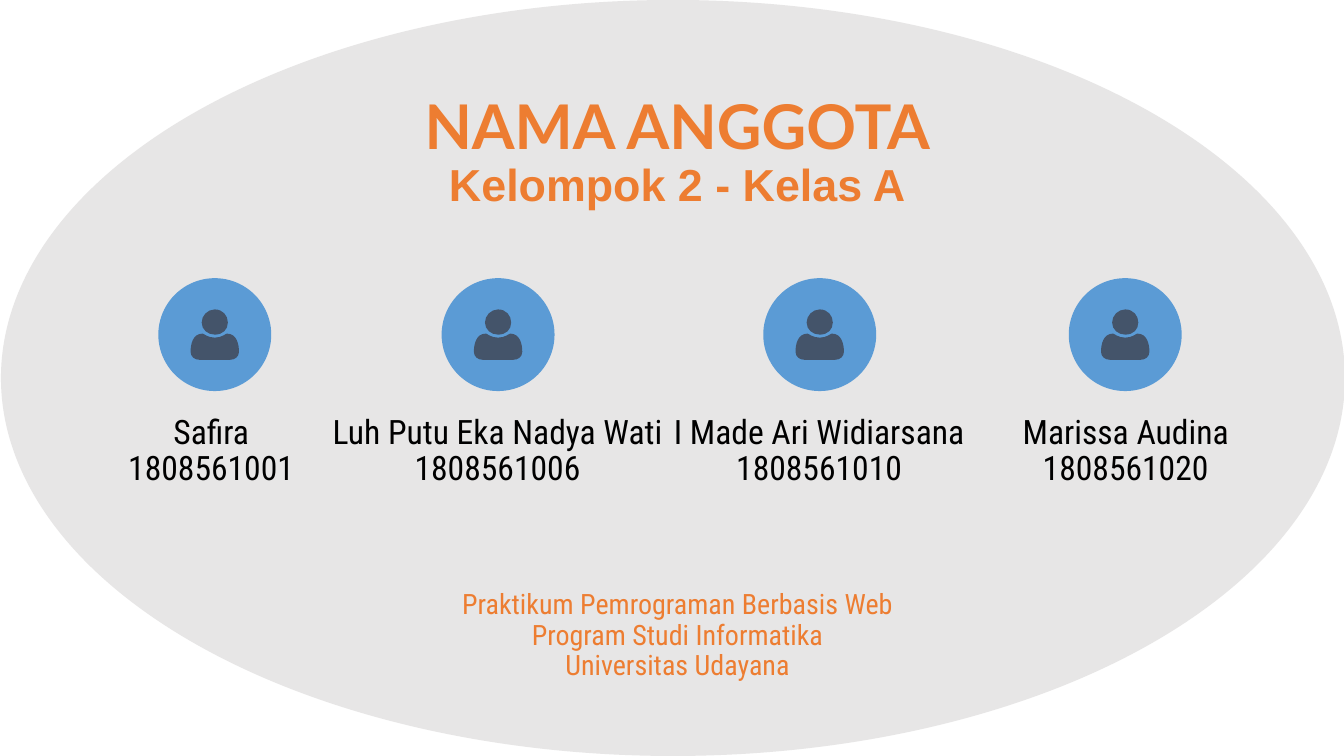
import dataclasses

import lxml.etree
import pptx
import pptx.dml.color
import pptx.enum.shapes
import pptx.enum.text
import pptx.oxml.ns
import pptx.util

PX = 9144
BODY_CURVES = [
    (39, 50), (9, 50), (9, 50), (9, 50), (4, 50), (0, 47), (0, 42),
    (0, 35), (2, 24), (12, 24), (13, 24), (17, 28), (24, 28),
    (31, 28), (35, 24), (36, 24), (46, 24), (48, 35), (48, 42),
    (48, 47), (44, 50), (39, 50),
]
HEAD_CURVES = [
    (24, 25), (17, 25), (11, 20), (11, 13), (11, 6), (17, 0), (24, 0),
    (32, 0), (37, 6), (37, 13), (37, 20), (32, 25), (24, 25),
]
MEMBERS = [
    ("Safira\v1808561001", 157, 28),
    ("Luh Putu Eka Nadya Wati\v1808561006", 438, 312),
    ("I Made Ari Widiarsana\v1808561010", 757, 631),
    ("Marissa Audina\v1808561020", 1060, 935),
]
COURSE = [
    "Praktikum Pemrograman Berbasis Web",
    "Program Studi Informatika",
    "Universitas Udayana",
]


@dataclasses.dataclass(frozen=True)
class Theme:
    """Colours, fonts and type sizes of the slide."""

    backdrop: str = "E7E6E6"
    accent: str = "ED7D31"
    badge: str = "5B9BD5"
    person: str = "44546A"
    ink: str = "000000"
    title_font: str = "Lato"
    subtitle_font: str = "Arial"
    body_font: str = "Roboto Condensed"
    title_size: int = 44
    subtitle_size: int = 32
    member_size: int = 24
    course_size: int = 20


THEME = Theme()


def paint(shape, color):
    """Give a shape a flat fill without line or shadow."""
    shape.fill.solid()
    shape.fill.fore_color.rgb = pptx.dml.color.RGBColor.from_string(color)
    shape.line.fill.background()
    shape.shadow.inherit = False


def add_ellipse(shapes, box, color):
    """Add a flat ellipse that fills the box."""
    kind = pptx.enum.shapes.MSO_SHAPE.OVAL
    ellipse = shapes.add_shape(kind, *(length * PX for length in box))
    paint(ellipse, color)


def add_frame(slide, box, inset, anchor=pptx.enum.text.MSO_ANCHOR.TOP):
    """Add a wrapping text box and return its text frame."""
    frame = slide.shapes.add_textbox(*(length * PX for length in box)).text_frame
    frame.word_wrap = True
    frame.vertical_anchor = anchor
    frame.margin_left = frame.margin_right = inset * PX
    frame.margin_top = frame.margin_bottom = inset * PX
    return frame


def style(font, name, size, color, bold=False):
    """Set the name, size, colour and weight of a font."""
    font.name = name
    font.size = pptx.util.Pt(size)
    font.bold = bold
    font.color.rgb = pptx.dml.color.RGBColor.from_string(color)


def center(paragraph):
    """Centre a paragraph with tight line spacing."""
    paragraph.alignment = pptx.enum.text.PP_ALIGN.CENTER
    paragraph.line_spacing = 0.9


def bend(shape):
    """Turn every three straight segments of a freeform into one cubic curve."""
    segments = shape.element.xpath(".//a:lnTo")
    for first, second, third in zip(segments[::3], segments[1::3], segments[2::3]):
        curve = lxml.etree.Element(pptx.oxml.ns.qn("a:cubicBezTo"))
        first.addprevious(curve)
        for segment in (first, second, third):
            curve.append(segment[0])
            segment.getparent().remove(segment)


def add_person(shapes, left, top):
    """Add a person symbol made of a body and a head."""
    body, head = (
        [((left + x) * PX, (top + y) * PX) for x, y in curves]
        for curves in (BODY_CURVES, HEAD_CURVES)
    )
    builder = shapes.build_freeform(*body[0])
    builder.add_line_segments(body[1:], close=True)
    builder.move_to(*head[0])
    builder.add_line_segments(head[1:], close=True)
    person = builder.convert_to_shape()
    bend(person)
    paint(person, THEME.person)


def add_badge(slide, box):
    """Add a round badge with a person symbol in its middle."""
    left, top, width, height = box
    group = slide.shapes.add_group_shape()
    add_ellipse(group.shapes, box, THEME.badge)
    add_person(group.shapes, left + (width - 48) // 2, top + (height - 50) // 2)


def add_heading(slide, box):
    """Add the title and subtitle."""
    paragraph = add_frame(slide, box, 13).paragraphs[0]
    center(paragraph)
    title = paragraph.add_run()
    title.text = "NAMA ANGGOTA"
    style(title.font, THEME.title_font, THEME.title_size, THEME.accent, True)
    paragraph.add_line_break()
    subtitle = paragraph.add_run()
    subtitle.text = "Kelompok 2 - Kelas A"
    style(subtitle.font, THEME.subtitle_font, THEME.subtitle_size, THEME.accent, True)


def add_members(slide, box):
    """Add a badge, name and student number for each member."""
    left, top, width, height = box
    for text, badge_left, text_left in MEMBERS:
        add_badge(slide, (left + badge_left, top, 112, 112))
        text_box = (left + text_left, top + height - 84, 363, 84)
        frame = add_frame(slide, text_box, 10, pptx.enum.text.MSO_ANCHOR.BOTTOM)
        paragraph = frame.paragraphs[0]
        paragraph.text = text
        center(paragraph)
        style(paragraph.font, THEME.body_font, THEME.member_size, THEME.ink)


def add_course(slide, box):
    """Add the course, programme and university."""
    frame = add_frame(slide, box, 13)
    frame.text = "\n".join(COURSE)
    for paragraph in frame.paragraphs:
        center(paragraph)
        style(paragraph.font, THEME.body_font, THEME.course_size, THEME.accent)


def main():
    """Build and save the presentation."""
    presentation = pptx.Presentation()
    presentation.slide_width = 1333 * PX
    presentation.slide_height = 750 * PX
    slide = presentation.slides.add_slide(presentation.slide_layouts[6])
    add_ellipse(slide.shapes, (1, 0, 1333, 750), THEME.backdrop)
    add_heading(slide, (163, 83, 1018, 119))
    add_members(slide, (0, 276, 1333, 218))
    add_course(slide, (165, 573, 1014, 121))
    presentation.save("out.pptx")


if __name__ == "__main__":
    main()
